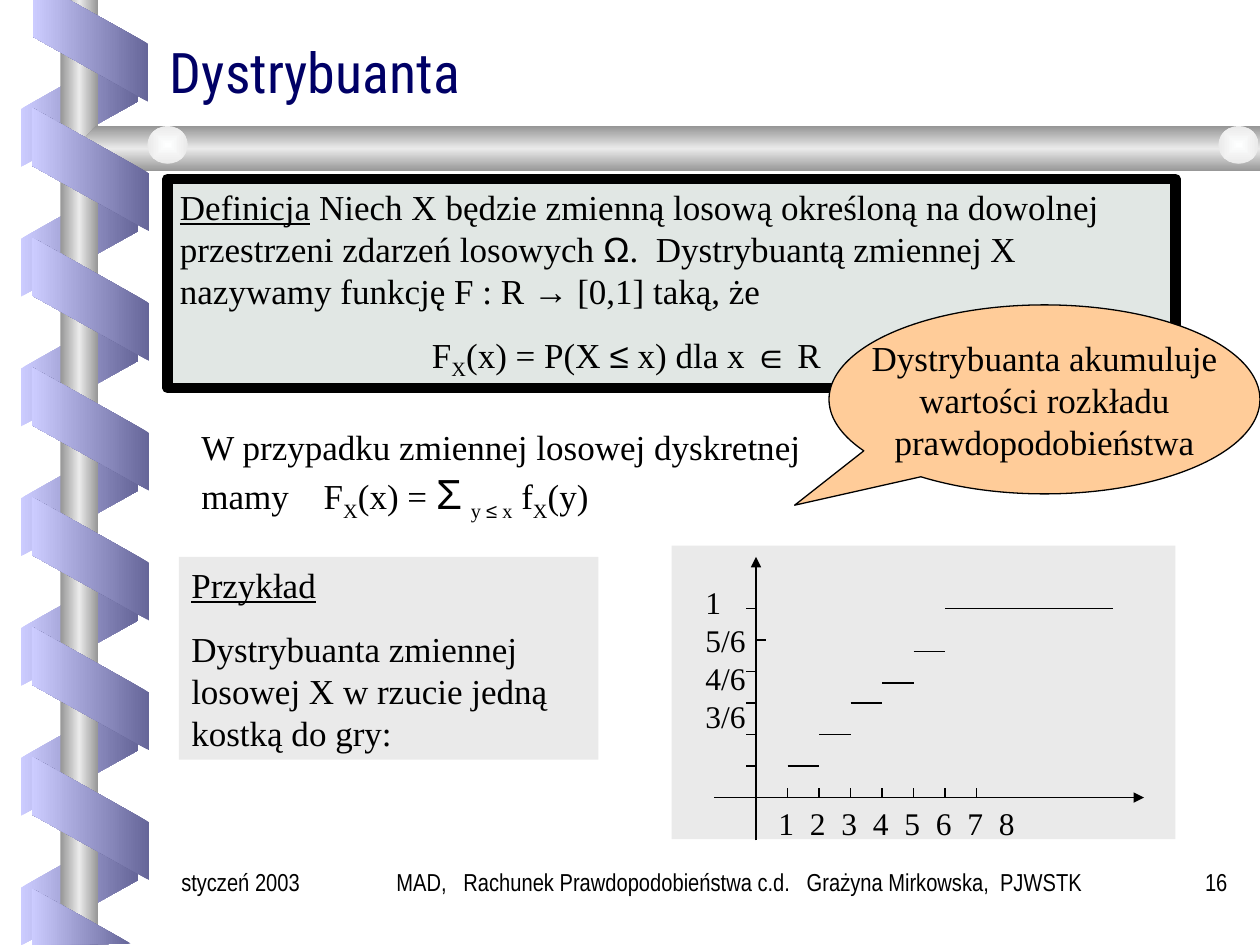
import pptx
import pptx.util
import pptx.dml.color
import pptx.enum.shapes
import pptx.enum.text
import pptx.oxml
import pptx.oxml.ns
from lxml import etree

Inches = pptx.util.Inches
RGBColor = pptx.dml.color.RGBColor
KIND = pptx.enum.shapes.MSO_SHAPE
ALIGN = pptx.enum.text.PP_ALIGN
ANCHOR = pptx.enum.text.MSO_ANCHOR
qn = pptx.oxml.ns.qn

BLACK = RGBColor(0, 0, 0)
NAVY = RGBColor(0, 0, 0x66)
MINT = RGBColor(0xE1, 0xE7, 0xE4)
PEACH = RGBColor(0xFF, 0xCC, 0x99)
GREY = RGBColor(0xEA, 0xEA, 0xEA)
STEEL = RGBColor(0x96, 0x96, 0x96)
PEARL = RGBColor(0xFE, 0xFF, 0xFF)
LILAC = RGBColor(0xCC, 0xCC, 0xFF)
VIOLET = RGBColor(0x66, 0x66, 0x99)

TIMES, SANS, SLIM, HEAD = "Times New Roman", "Arial", "Arial Narrow", "Roboto Condensed"
METAL = [STEEL, GREY, STEEL]
SUB = {"sub": True}
SYM = {"face": SANS}

RULE = [
    [("Definicja", {"under": True}),
     (" Niech X będzie zmienną losową określoną na dowolnej przestrzeni zdarzeń losowych ", {}),
     ("Ω", SYM), (".  Dystrybuantą zmiennej X nazywamy funkcję F : R ", {}),
     ("→", SYM), (" [0,1] taką, że", {})],
    [("F", {}), ("X", SUB), ("(x) = P(X ", {}), ("≤", SYM), (" x) dla x ", {}),
     ("∈", SYM), (" R", {})],
]
CASE = [[
    ("W przypadku zmiennej losowej dyskretnej mamy\tF", {}), ("X", SUB), ("(x) = ", {}),
    ("Σ", {"face": SANS, "size": 24}), (" ", {}), ("y ", SUB),
    ("≤", {"face": SANS, "sub": True}), (" x", SUB), (" f", {}), ("X", SUB), ("(y)", {}),
]]
DEMO = [
    [("Przykład", {"under": True})],
    [("Dystrybuanta zmiennej losowej X w rzucie jedną kostką do gry:", {})],
]
NOTE = "Dystrybuanta akumuluje\nwartości rozkładu\nprawdopodobieństwa"
LEVELS = "1\n5/6\n4/6\n3/6"
COUNTS = "\t".join(str(n) for n in range(1, 9))
FOOT = [
    ("styczeń 2003", (1.34, 6.83, 1.41, 0.5), ALIGN.LEFT),
    ("MAD,   Rachunek Prawdopodobieństwa c.d.   Grażyna Mirkowska,  PJWSTK",
     (2.58, 6.83, 6.58, 0.5), ALIGN.CENTER),
    ("16", (9, 6.83, 0.84, 0.5), ALIGN.RIGHT),
]
STEPS = [(6.25, 6.5, 6.08), (6.5, 6.75, 5.83), (6.75, 7, 5.58),
         (7, 7.25, 5.42), (7.25, 7.5, 5.17), (7.5, 8.83, 4.83)]
TICKS = [(5.92, 6.08), (5.92, 5.83), (5.92, 5.58), (5.92, 5.33), (6.08, 5.08), (5.92, 4.83)]
BEAM = [(10, 1), (0.76, 1), (0.6, 1.18), (0.76, 1.36), (10, 1.36)]
TOP = [(0.26, 0), (0.26, 0.29), (1.18, 0.81), (1.18, 0.35), (0.55, 0)]
END = [(1.04, 7.49), (0.25, 7.05), (0.25, 7.5)]

deck = pptx.Presentation()
deck.slide_width, deck.slide_height = Inches(10), Inches(7.5)
slide = deck.slides.add_slide(deck.slide_layouts[6])
shapes = slide.shapes


def blend(shape, hues, angle=None):
    shape.fill.background()
    old = shape._element.spPr.find(qn("a:noFill"))
    grad = etree.Element(qn("a:gradFill"), rotWithShape="0")
    stops = etree.SubElement(grad, qn("a:gsLst"))
    for i, hue in enumerate(hues):
        stop = etree.SubElement(stops, qn("a:gs"), pos=str(i * 100000 // (len(hues) - 1)))
        etree.SubElement(stop, qn("a:srgbClr"), val=str(hue))
    if angle is None:
        way = etree.SubElement(grad, qn("a:path"), path="rect")
        etree.SubElement(way, qn("a:fillToRect"), l="50000", t="50000", r="50000", b="50000")
    else:
        etree.SubElement(grad, qn("a:lin"), ang=str(angle * 60000), scaled="0")
    old.getparent().replace(old, grad)


def add_box(kind, place, fill=None, line=None):
    shape = shapes.add_shape(kind, *map(Inches, place))
    return paint(shape, fill, line)


def paint(shape, fill=None, line=None):
    shape.shadow.inherit = False
    if fill is not None:
        shape.fill.solid()
        shape.fill.fore_color.rgb = fill
    if line:
        shape.line.color.rgb = BLACK
        shape.line.width = pptx.util.Pt(line)
    else:
        shape.line.fill.background()
    return shape


def add_path(points, hues, angle):
    spots = [(Inches(x), Inches(y)) for x, y in points]
    pen = shapes.build_freeform(*spots[0])
    pen.add_line_segments(spots[1:], close=True)
    blend(paint(pen.convert_to_shape()), hues, angle)


def add_band(x, y, turn, flip, hues):
    band = add_box(KIND.PARALLELOGRAM, (x, y, 0.98, 0.93))
    band.adjustments[0] = 0.56
    band.rotation = turn
    if flip:
        band._element.spPr.find(qn("a:xfrm")).set("flipH", "1")
    blend(band, hues, 180)


def add_line(x1, y1, x2, y2, arrow=False):
    line = shapes.add_connector(pptx.enum.shapes.MSO_CONNECTOR.STRAIGHT,
                                *map(Inches, (x1, y1, x2, y2)))
    line.line.color.rgb = BLACK
    line.line.width = pptx.util.Pt(0.75)
    if arrow:
        etree.SubElement(line.line._get_or_add_ln(), qn("a:tailEnd"), type="triangle")
    etree.SubElement(line._element.spPr, qn("a:effectLst"))


def style(run, face=TIMES, size=20, color=BLACK, under=False, sub=False):
    font = run.font
    font.name, font.size, font.color.rgb = face, pptx.util.Pt(size), color
    if under:
        font.underline = True
    if sub:
        font._element.set("baseline", "-25000")


def set_tabs(para, stops):
    tabs = etree.SubElement(para._p.get_or_add_pPr(), qn("a:tabLst"))
    for stop in stops:
        etree.SubElement(tabs, qn("a:tab"), pos=str(Inches(stop)), algn="l")


def fill_rich(shape, paras):
    frame = shape.text_frame
    frame.word_wrap = True
    frame.vertical_anchor = ANCHOR.TOP
    for i, parts in enumerate(paras):
        para = frame.add_paragraph() if i else frame.paragraphs[0]
        para.alignment = ALIGN.LEFT
        if i:
            para.space_before = pptx.util.Pt(12.5)
        for text, look in parts:
            run = para.add_run()
            run.text = text
            style(run, **look)
    return frame.paragraphs


def fill_text(shape, text, align=ALIGN.LEFT, anchor=ANCHOR.TOP, wrap=True, **look):
    frame = shape.text_frame
    frame.word_wrap = wrap
    frame.vertical_anchor = anchor
    para = frame.paragraphs[0]
    para.text = text
    para.alignment = align
    for run in para.runs:
        style(run, **look)
    return para


def add_text(place):
    return shapes.add_textbox(*map(Inches, place))


for i in range(7):
    add_band(0.14, 0.37 + 1.03 * i, 90, True, [LILAC, VIOLET])
blend(add_box(KIND.RECTANGLE, (0.48, 0, 0.3, 7.5)), METAL, 180)
add_path(BEAM, METAL, 90)
for x in (1.17, 9.67):
    blend(add_box(KIND.OVAL, (x, 1, 0.32, 0.3)), [PEARL, GREY])
for i in range(6):
    add_band(0.23, 0.88 + 1.03 * i, 270, False, [VIOLET, LILAC])
for points in (TOP, END):
    add_path(points, [VIOLET, LILAC], 180)

title = fill_text(add_text((1.25, 0.25, 8.5, 0.63)), "Dystrybuanta",
                  anchor=ANCHOR.BOTTOM, face=HEAD, size=32, color=NAVY)
title.line_spacing = 0.8

rule = fill_rich(add_box(KIND.RECTANGLE, (1.33, 1.42, 8, 1.66), MINT, 6), RULE)
rule[1]._p.get_or_add_pPr().set("marL", str(Inches(2)))
case = fill_rich(add_text((1.5, 3.33, 5.25, 0.87)), CASE)
set_tabs(case[0], [0.97])

note = add_box(KIND.OVAL_CALLOUT, (6.58, 2.42, 3.42, 1.5), PEACH, 0.75)
note.adjustments[0], note.adjustments[1] = -0.58, 0.56
fill_text(note, NOTE, ALIGN.CENTER, ANCHOR.MIDDLE, False)
fill_rich(add_box(KIND.RECTANGLE, (1.42, 4.42, 3.33, 1.61), GREY), DEMO)

add_box(KIND.RECTANGLE, (5.33, 4.33, 4, 2.33), GREY)
add_line(5.67, 6.33, 9.08, 6.33, True)
add_line(6, 6.67, 6, 4.42, True)
for i in range(7):
    x = 6.25 + 0.25 * i
    add_line(x, 6.33, x, 6.25)
for x, y in TICKS:
    add_line(6, y, x, y)
for start, stop, y in STEPS:
    add_line(start, y, stop, y)
fill_text(add_text((5.5, 4.58, 1, 1.3)), LEVELS, size=18)
counts = fill_text(add_text((6.08, 6.33, 3.58, 0.4)), COUNTS, size=18)
set_tabs(counts, [0.25 * i for i in range(1, 8)])

for text, place, align in FOOT:
    fill_text(add_text(place), text, align, face=SLIM, size=14)

deck.save("out.pptx")
